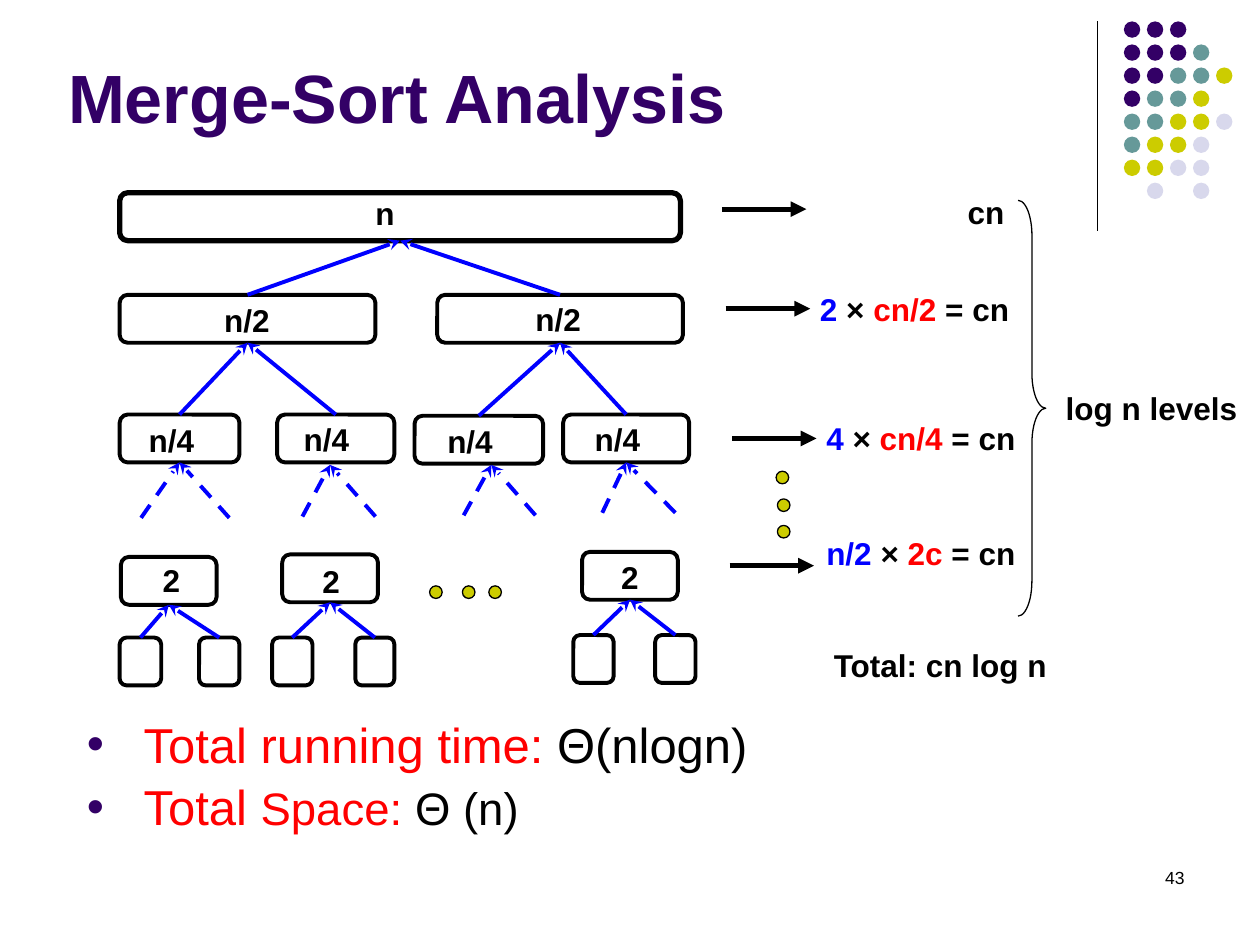
from dataclasses import dataclass

from lxml import etree
from pptx import Presentation
from pptx.dml.color import RGBColor
from pptx.enum.dml import MSO_LINE
from pptx.enum.shapes import MSO_CONNECTOR, MSO_SHAPE
from pptx.enum.text import MSO_ANCHOR, MSO_AUTO_SIZE, PP_ALIGN
from pptx.oxml.ns import qn
from pptx.util import Inches, Pt

STRAIGHT = MSO_CONNECTOR.STRAIGHT
ROUNDED, OVAL, BRACE = MSO_SHAPE.ROUNDED_RECTANGLE, MSO_SHAPE.OVAL, MSO_SHAPE.RIGHT_BRACE
LEFT, RIGHT = PP_ALIGN.LEFT, PP_ALIGN.RIGHT
DASH = MSO_LINE.DASH
TOP_SIDE, BOTTOM_SIDE = 0, 2
NODE_HEIGHT = 0.38


@dataclass(frozen=True)
class Theme:
    font: str = "Arial"
    purple: str = "330066"
    teal: str = "669999"
    yellow: str = "CCCC00"
    lavender: str = "D8D8EC"
    black: str = "000000"
    blue: str = "0000FF"
    red: str = "FF0000"
    title: int = 39
    body: int = 28
    body_small: int = 26
    label: int = 18
    page: int = 10
    hairline: float = 0.75
    medium: float = 2.25
    heavy: float = 3


THEME = Theme()

# Tree nodes: left, top, width, label, label left, label top
ROOT = (0.95, 1.53, 4.45, "n", 2.98, 1.54)
HALVES = [(0.95, 2.34, 2.03, "n/2", 1.78, 2.39), (3.47, 2.34, 1.95, "n/2", 4.25, 2.38)]
QUARTERS = [(0.95, 3.29, 0.95, "n/4", 1.18, 3.34), (2.2, 3.29, 0.93, "n/4", 2.41, 3.33),
            (3.29, 3.3, 1.02, "n/4", 3.55, 3.35), (4.47, 3.29, 1, "n/4", 4.72, 3.33)]
PAIRS = [(0.96, 4.42, 0.76, "2", 1.29, 4.45), (2.24, 4.4, 0.76, "2", 2.56, 4.46),
         (4.62, 4.38, 0.76, "2", 4.93, 4.43)]
LEAVES = [(0.95, 5.06, 0.33), (1.58, 5.06, 0.32), (2.16, 5.06, 0.32),
          (2.82, 5.06, 0.31), (4.55, 5.04, 0.32), (5.2, 5.04, 0.32)]

# Dashed branches: left x, right x, bottom, free tip (None: middle of the node)
BRANCHES = [(1.12, 1.82, 4.11, None), (2.4, 2.98, 4.1, (2.62, 3.69)),
            (3.68, 4.25, 4.09, (3.9, 3.69)), (4.78, 5.36, 4.07, None)]

# Level costs: arrow left, arrow y, text left, text top, count, cost
LEVEL_COSTS = [(5.76, 2.45, 6.41, 2.25, "2", "cn/2"), (5.81, 3.48, 6.46, 3.28, "4", "cn/4"),
               (5.79, 4.49, 6.46, 4.19, "n/2", "2c")]

ELLIPSIS_DOTS = [(6.16, 3.74), (6.17, 3.96), (6.17, 4.17),
                 (3.41, 4.65), (3.67, 4.65), (3.88, 4.65)]
DOT_PATTERN = ["PPP", "PPPT", "PPTTY", "PTTY", "TTYYL", "TYYL", "YYLL", " L L"]


def color(value):
    return RGBColor.from_string(value)


def add_runs(paragraph, runs, size, bold=False):
    """Each run is (text, colour) or (text, colour, size)."""
    for text, tint, *own_size in runs:
        run = paragraph.add_run()
        run.text = text
        run.font.name = THEME.font
        run.font.size = Pt(own_size[0] if own_size else size)
        run.font.bold = bold
        run.font.color.rgb = color(tint)


def add_label(slide, left, top, width, runs, size=THEME.label, bold=True, align=LEFT, inset=True):
    box = slide.shapes.add_textbox(Inches(left), Inches(top), Inches(width),
                                   Inches(0.4 if inset else 0.3))
    frame = box.text_frame
    frame.word_wrap = True
    if not inset:
        frame.margin_left = frame.margin_right = frame.margin_top = frame.margin_bottom = 0
    frame.paragraphs[0].alignment = align
    add_runs(frame.paragraphs[0], runs, size, bold)


def add_outline(slide, kind, left, top, width, height, fill=None, line=THEME.hairline):
    shape = slide.shapes.add_shape(kind, Inches(left), Inches(top), Inches(width), Inches(height))
    shape.shadow.inherit = False
    if fill:
        shape.fill.solid()
        shape.fill.fore_color.rgb = color(fill)
    else:
        shape.fill.background()
    if line:
        shape.line.color.rgb = color(THEME.black)
        shape.line.width = Pt(line)
    else:
        shape.line.fill.background()
    return shape


def add_node(slide, left, top, width, label=None, label_left=0, label_top=0, line=THEME.medium):
    node = add_outline(slide, ROUNDED, left, top, width, NODE_HEIGHT, line=line)
    if label:
        add_label(slide, label_left, label_top, 0.56, [(label, THEME.black)], inset=False)
    return node


def add_line(slide, start, end, tint, width, arrow=None, dash=None):
    line = slide.shapes.add_connector(STRAIGHT, *map(Inches, start + end))
    line.line.color.rgb = color(tint)
    line.line.width = Pt(width)
    if dash:
        line.line.dash_style = dash
    if arrow:
        etree.SubElement(line.line._get_or_add_ln(), qn("a:tailEnd"), type=arrow)
    etree.SubElement(line._element.spPr, qn("a:effectLst"))
    return line


def join_to_parents(slide, children, parents):
    """Two children point at each parent."""
    for index, child in enumerate(children):
        branch = add_line(slide, (0, 0), (1, 1), THEME.blue, THEME.medium, "stealth")
        branch.begin_connect(child, TOP_SIDE)
        branch.end_connect(parents[index // 2], BOTTOM_SIDE)


def add_corner_dots(slide):
    tints = {"P": THEME.purple, "T": THEME.teal, "Y": THEME.yellow, "L": THEME.lavender}
    pitch = 1.28 / 7
    add_line(slide, (8.71, 0.17), (8.71, 1.83), THEME.black, THEME.hairline)
    for row, pattern in enumerate(DOT_PATTERN):
        for column, key in enumerate(pattern):
            if key in tints:
                add_outline(slide, OVAL, 8.92 + column * pitch, 0.17 + row * pitch,
                            0.13, 0.13, tints[key], line=None)


def add_tree(slide):
    root = add_node(slide, *ROOT, line=THEME.heavy)
    halves, quarters, pairs, leaves = (
        [add_node(slide, *node) for node in level] for level in (HALVES, QUARTERS, PAIRS, LEAVES))
    join_to_parents(slide, halves, [root])
    join_to_parents(slide, quarters, halves)
    join_to_parents(slide, leaves, pairs)
    for quarter, (left, right, bottom, tip) in zip(quarters, BRANCHES):
        for foot in (left, right):
            branch = add_line(slide, (foot, bottom), tip or (0, 0), THEME.blue, THEME.medium,
                              "stealth", DASH)
            if tip is None:
                branch.end_connect(quarter, BOTTOM_SIDE)


def add_costs(slide):
    def add_arrow(left, y):
        add_line(slide, (left, y), (left + 0.67, y), THEME.black, THEME.heavy, "triangle")

    add_arrow(5.73, 1.66)
    add_label(slide, 6.62, 1.48, 1.45, [("cn", THEME.black)], align=RIGHT)
    for arrow_left, arrow_y, left, top, count, cost in LEVEL_COSTS:
        add_arrow(arrow_left, arrow_y)
        add_label(slide, left, top, 1.8, [(count, THEME.blue), (" × ", THEME.black),
                                          (cost, THEME.red), (" = cn", THEME.black)])
    brace = add_outline(slide, BRACE, 8.08, 1.59, 0.22, 3.3)
    brace.adjustments[0] = 1.27
    add_label(slide, 8.36, 3.04, 1.64, [("log n levels", THEME.black)])
    add_label(slide, 6.52, 5.08, 2, [("Total: cn log n", THEME.black)])


def place(placeholder, left, top, width, height, anchor):
    placeholder.left, placeholder.top = Inches(left), Inches(top)
    placeholder.width, placeholder.height = Inches(width), Inches(height)
    frame = placeholder.text_frame
    frame.word_wrap = True
    frame.auto_size = MSO_AUTO_SIZE.NONE
    frame.vertical_anchor = anchor
    return frame


def add_bullet(paragraph, runs, space_before):
    properties = paragraph._p.get_or_add_pPr()
    properties.set("marL", str(Inches(0.45)))
    properties.set("indent", str(-Inches(0.45)))
    bullet_color = etree.SubElement(properties, qn("a:buClr"))
    etree.SubElement(bullet_color, qn("a:srgbClr"), val=THEME.purple)
    etree.SubElement(properties, qn("a:buFont"), typeface=THEME.font)
    etree.SubElement(properties, qn("a:buChar"), char="•")
    paragraph.space_before = Pt(space_before)
    add_runs(paragraph, runs, THEME.body)


def main():
    deck = Presentation()
    deck.slide_width, deck.slide_height = Inches(10), Inches(7.5)
    slide = deck.slides.add_slide(deck.slide_layouts[1])
    title, conclusions = slide.placeholders

    # Title and corner decoration
    add_corner_dots(slide)
    heading = place(title, 0.44, 0.35, 8.25, 0.83, MSO_ANCHOR.MIDDLE).paragraphs[0]
    heading.alignment = LEFT
    add_runs(heading, [("Merge-Sort Analysis", THEME.purple)], THEME.title, bold=True)

    # Recursion tree and the cost of each level
    add_tree(slide)
    add_costs(slide)
    for left, top in ELLIPSIS_DOTS:
        add_outline(slide, OVAL, left, top, 0.1, 0.1, THEME.yellow)

    # Conclusions
    frame = place(conclusions, 0.59, 5.62, 7.73, 1.04, MSO_ANCHOR.TOP)
    add_bullet(frame.paragraphs[0], [("Total running time: ", THEME.red),
                                     ("Θ(nlogn)", THEME.black)], 0)
    add_bullet(frame.add_paragraph(), [("Total ", THEME.red),
                                       ("Space: ", THEME.red, THEME.body_small),
                                       ("Θ (n)", THEME.black, THEME.body_small)], 2)

    # Page number
    add_label(slide, 7.17, 6.83, 2.33, [("43", THEME.black)], THEME.page, bold=False, align=RIGHT)
    deck.save("out.pptx")


if __name__ == "__main__":
    main()
